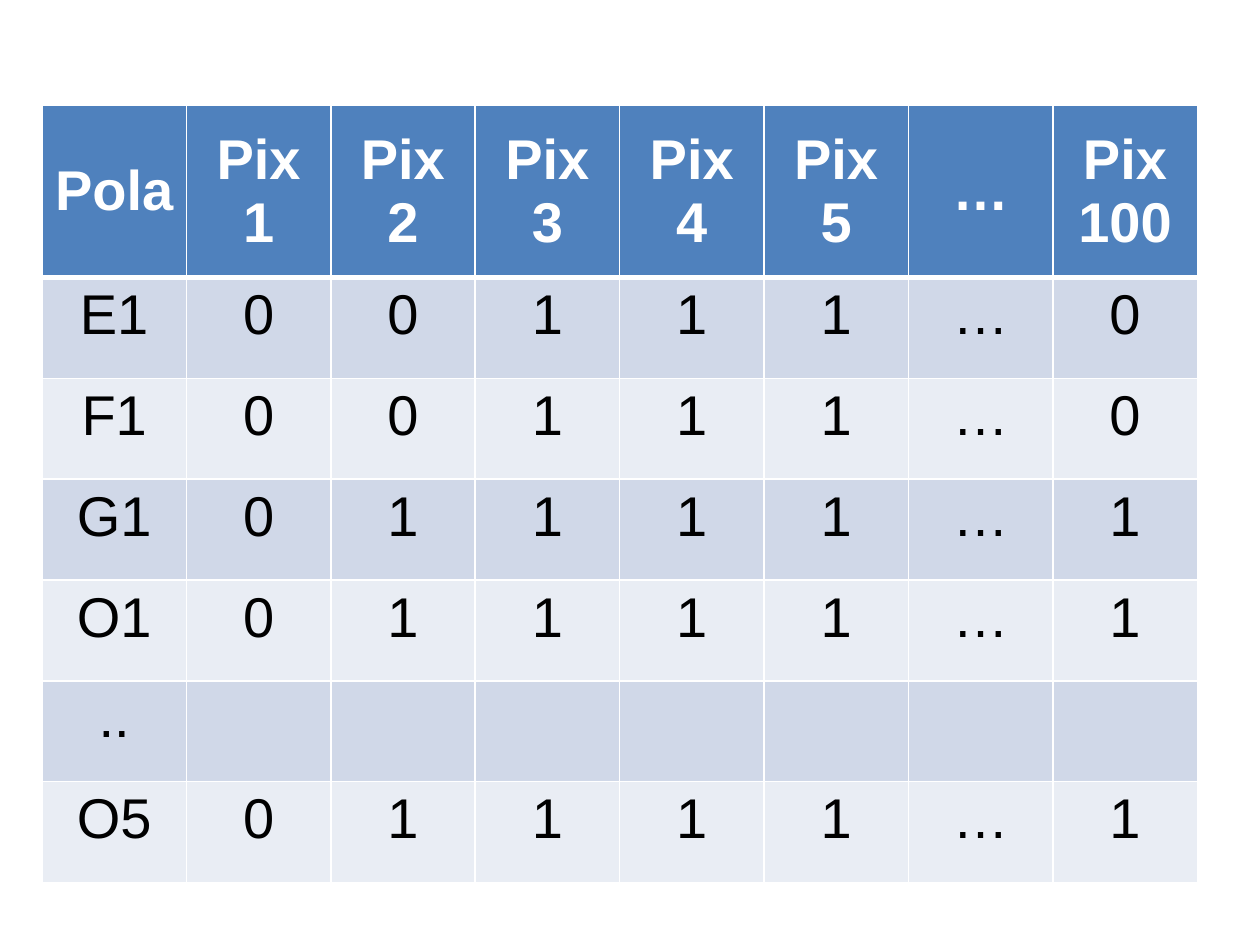
"""Build a slide with a table of pattern pixels."""
from lxml import etree
from pptx import Presentation, util as u
from pptx.dml.color import RGBColor
from pptx.enum import text
from pptx.oxml.ns import qn

COLORS = {"header": "4F81BD", "odd": "D0D8E8", "even": "E9EDF4",
          "rule": "FFFFFF", "header_text": "FFFFFF", "body_text": "000000"}
HEADINGS = ["Pola", *[f"Pix\n{n}" for n in (1, 2, 3, 4, 5)], "…", "Pix\n100"]
PATTERNS = {"E1": "00111…0", "F1": "00111…0", "G1": "01111…1",
            "O1": "01111…1", "..": " " * 7, "O5": "01111…1"}


def write(cell, content, size=32, color="body_text", bold=False,
          anchor=text.MSO_ANCHOR.TOP):
    cell.margin_left = cell.margin_right = 0
    cell.margin_top = cell.margin_bottom = u.Inches(0.05)
    cell.vertical_anchor = anchor
    cell.text = content
    for paragraph in cell.text_frame.paragraphs:
        paragraph.alignment = text.PP_ALIGN.CENTER
        paragraph.font.size = u.Pt(size)
        for run in paragraph.runs:
            run.font.name = "Arial"
            run.font.size = u.Pt(size)
            run.font.bold = bold
            run.font.color.rgb = RGBColor.from_string(COLORS[color])


def rule_sides(cell, **widths):
    for side, width in widths.items():
        line = etree.SubElement(cell._tc.get_or_add_tcPr(), qn(f"a:ln{side}"),
                                w=str(u.Pt(width)))
        solid = etree.SubElement(line, qn("a:solidFill"))
        etree.SubElement(solid, qn("a:srgbClr"), val=COLORS["rule"])


deck = Presentation()
deck.slide_width, deck.slide_height = u.Inches(10), u.Inches(7.5)
slide = deck.slides.add_slide(deck.slide_layouts[6])

rows = [HEADINGS] + [[name, *bits] for name, bits in PATTERNS.items()]
width, height = u.Inches(9.17), u.Inches(6.17)
header_height = u.Inches(1.37)
pixels = slide.shapes.add_table(
    len(rows), len(HEADINGS), deck.slide_width // 30, deck.slide_height // 9,
    width, height).table

for column in pixels.columns:
    column.width = width // len(HEADINGS)

for r, values in enumerate(rows):
    is_header = r == 0
    pixels.rows[r].height = (header_height if is_header
                             else (height - header_height) // len(PATTERNS))
    band = "header" if is_header else "odd" if r % 2 else "even"
    for c, value in enumerate(values):
        cell = pixels.cell(r, c)
        if is_header:
            write(cell, value, color="header_text", bold=True,
                  anchor=text.MSO_ANCHOR.MIDDLE)
        else:
            write(cell, value.strip())
        rule_sides(cell, L=1, R=1, T=3 if r == 1 else 1,
                   B=3 if is_header else 1)
        cell.fill.solid()
        cell.fill.fore_color.rgb = RGBColor.from_string(COLORS[band])

deck.save("out.pptx")
